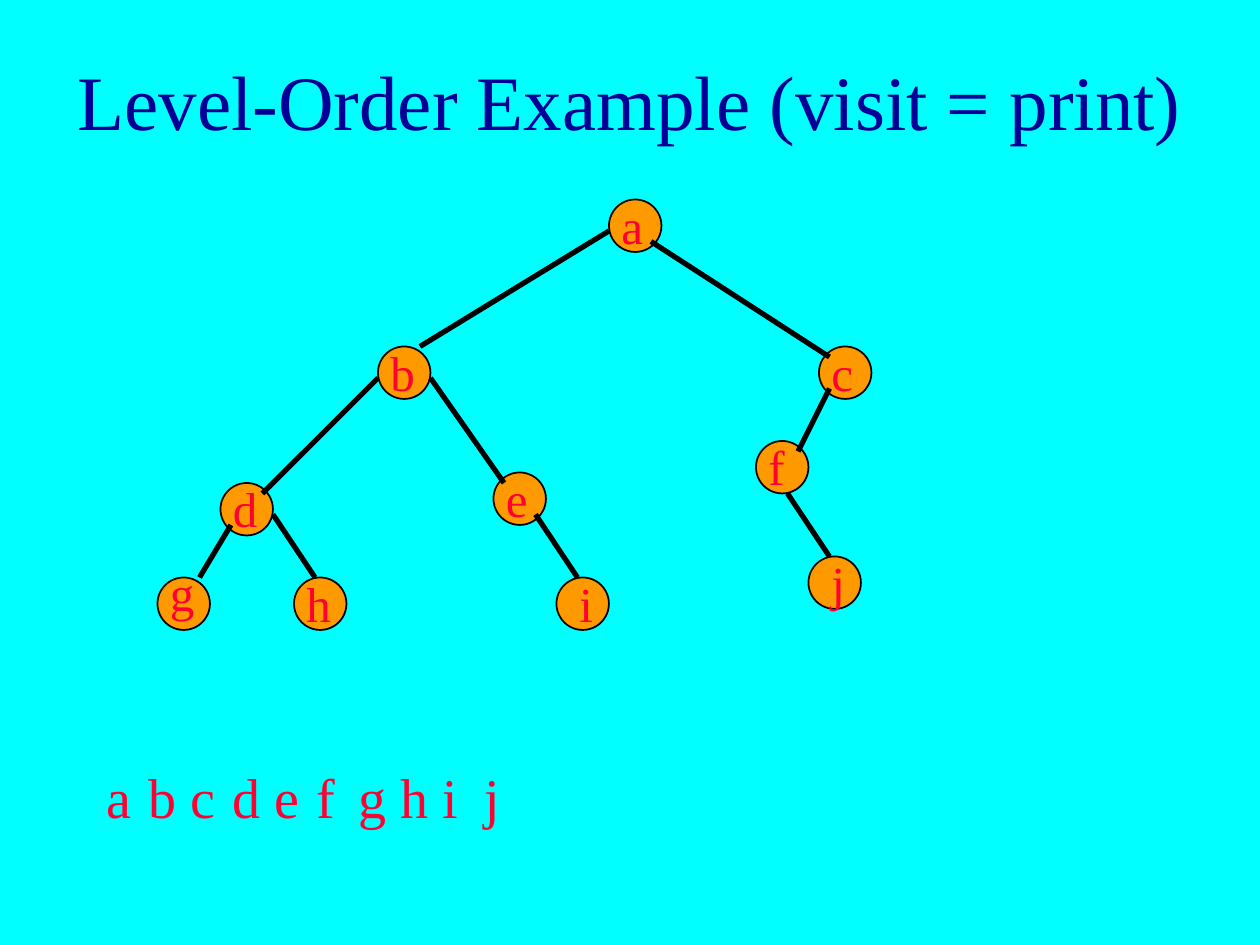
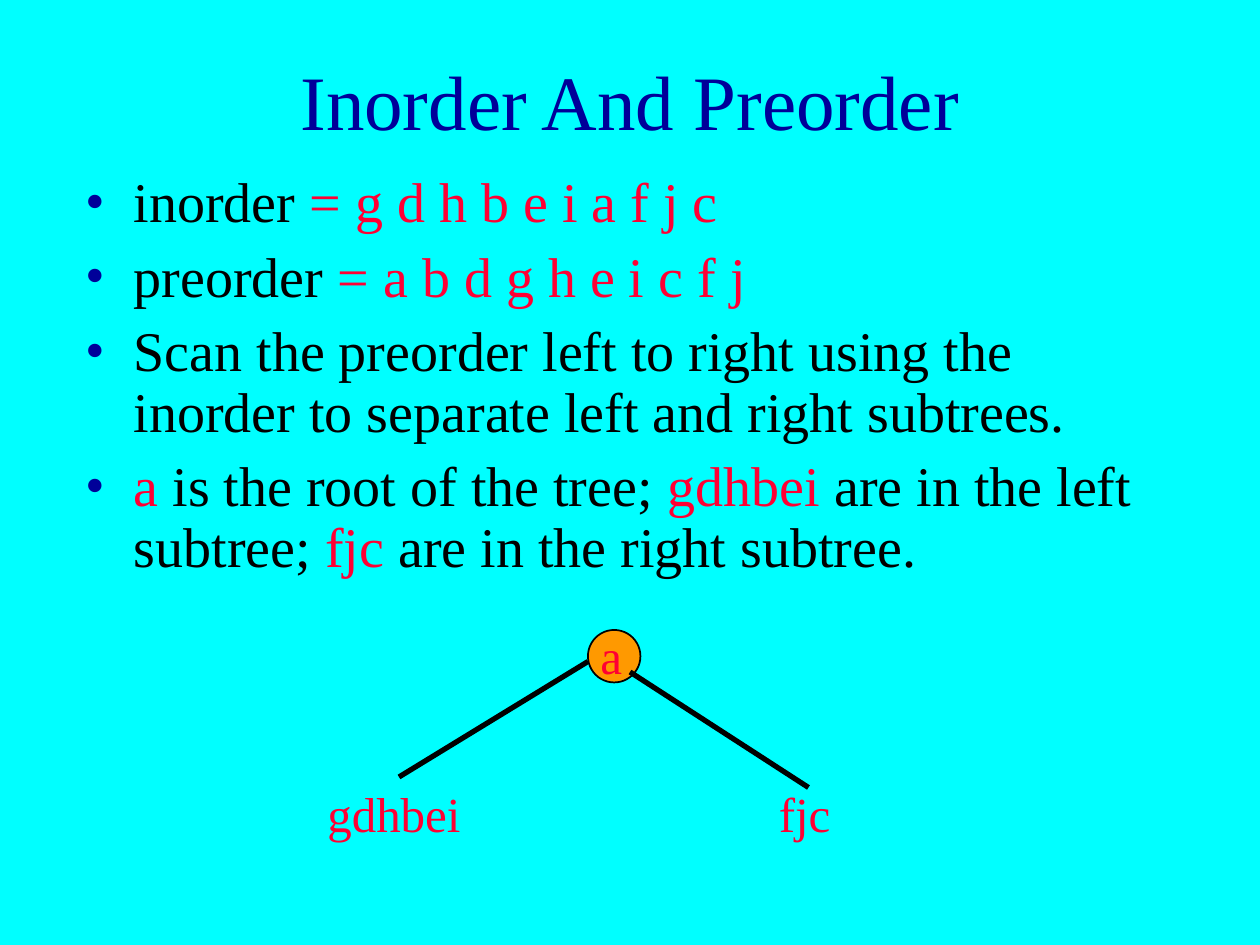
from lxml.etree import SubElement
from pptx import Presentation
from pptx.dml.color import RGBColor
from pptx.enum.shapes import MSO_CONNECTOR, MSO_SHAPE
from pptx.enum.text import MSO_ANCHOR, MSO_AUTO_SIZE, PP_ALIGN
from pptx.oxml.ns import qn
from pptx.util import Inches, Pt

COLORS = {
    "background": "00FFFF",
    "title": "000099",
    "body": "000000",
    "accent": "FF0033",
    "node": "FF9900",
    "line": "000000",
}
FONT = "Times New Roman"
COLUMNS, ROWS = 120, 90
SLIDE_WIDTH, SLIDE_HEIGHT = Inches(10), Inches(7.5)
NODE_SIZE = 5
LABEL_HEIGHT = 6.84

# letter: node corner, then label corner relative to the node
LEVEL_ORDER_NODES = {
    "a": ((43, 0), (0, -1)),
    "b": ((21, 14), (0, -1)),
    "c": ((63, 14), (0, -1)),
    "d": ((6, 27), (0, -1)),
    "e": ((32, 26), (0, -1)),
    "f": ((57, 23), (0, -1)),
    "g": ((0, 36), (0, -2)),
    "h": ((13, 36), (0, -1)),
    "i": ((38, 36), (1, -1)),
    "j": ((62, 34), (1, -1)),
}
# parent, attachment on parent, child, attachment on child
LEVEL_ORDER_EDGES = [
    ("a", (0, 3), "b", (4, 0)),
    ("a", (4, 4), "c", (1, 1)),
    ("b", (0, 3), "d", (4, 1)),
    ("b", (5, 3), "e", (1, 1)),
    ("c", (1, 4), "f", (4, 1)),
    ("d", (1, 4), "g", (4, 0)),
    ("d", (5, 3), "h", (2, 0)),
    ("e", (4, 4), "i", (2, 0)),
    ("f", (3, 5), "j", (2, 0)),
]
SPLIT_ROOT = {"a": ((26, 0), (0, -1))}
SUBTREES = {"gdhbei": (0, 14), "fjc": (43, 14)}
SPLIT_EDGES = [
    ("a", (0, 3), "gdhbei", (8, 0)),
    ("a", (4, 4), "fjc", (4, 1)),
]
# each bullet is a list of (text, colour) runs
BULLETS = [
    [("inorder ", "body"), ("= g d h b e i a f j c", "accent")],
    [("preorder", "body"), (" = a b d g h e i c f j", "accent")],
    [("Scan the preorder left to right using the inorder "
      "to separate left and right subtrees.", "body")],
    [("a", "accent"), (" is the root of the tree; ", "body"),
     ("gdhbei", "accent"), (" are in the left subtree; ", "body"),
     ("fjc", "accent"), (" are in the right subtree.", "body")],
]


def rgb(role):
    return RGBColor.from_string(COLORS[role])


def across(columns):
    return round(SLIDE_WIDTH * columns / COLUMNS)


def down(rows):
    return round(SLIDE_HEIGHT * rows / ROWS)


def shift(corner, offset):
    return corner[0] + offset[0], corner[1] + offset[1]


def style_run(run, size, role):
    run.font.name = FONT
    run.font.size = Pt(size)
    run.font.color.rgb = rgb(role)


def add_text_frame(slide, box):
    left, top, width, height = box
    frame = slide.shapes.add_textbox(
        across(left), down(top), across(width), down(height)).text_frame
    frame.word_wrap = True
    return frame


def add_letters(slide, box, text, size=28, space_before=17.5):
    frame = add_text_frame(slide, box)
    frame.auto_size = MSO_AUTO_SIZE.SHAPE_TO_FIT_TEXT
    frame.text = text
    paragraph = frame.paragraphs[0]
    paragraph.space_before = Pt(space_before)
    style_run(paragraph.runs[0], size, "accent")


def add_title(slide, box, text):
    frame = add_text_frame(slide, box)
    frame.vertical_anchor = MSO_ANCHOR.MIDDLE
    frame.text = text
    paragraph = frame.paragraphs[0]
    paragraph.alignment = PP_ALIGN.CENTER
    style_run(paragraph.runs[0], 44, "title")


def add_titled_slide(deck, title, title_box):
    slide = deck.slides.add_slide(deck.slide_layouts[6])
    slide.background.fill.solid()
    slide.background.fill.fore_color.rgb = rgb("background")
    add_title(slide, title_box, title)
    return slide


def add_node(slide, corner):
    node = slide.shapes.add_shape(
        MSO_SHAPE.OVAL, across(corner[0]), down(corner[1]),
        across(NODE_SIZE), down(NODE_SIZE))
    node.shadow.inherit = False
    node.fill.solid()
    node.fill.fore_color.rgb = rgb("node")
    node.line.color.rgb = rgb("line")
    node.line.width = Pt(1)


def add_edge(slide, start, end):
    edge = slide.shapes.add_connector(
        MSO_CONNECTOR.STRAIGHT, across(start[0]), down(start[1]),
        across(end[0]), down(end[1]))
    edge.line.color.rgb = rgb("line")
    edge.line.width = Pt(3)
    SubElement(edge._element.spPr, qn("a:effectLst"))


def add_tree(slide, origin, nodes, edges, subtrees=None):
    """Draw circled nodes, uncircled subtrees and their edges from origin."""
    subtrees = subtrees or {}
    corners = {letter: shift(origin, corner)
               for letter, (corner, _) in nodes.items()}
    for corner in corners.values():
        add_node(slide, corner)
    corners.update((name, shift(origin, corner))
                   for name, corner in subtrees.items())
    for parent, leave, child, arrive in edges:
        add_edge(slide, shift(corners[parent], leave),
                 shift(corners[child], arrive))
    for letter, (_, offset) in nodes.items():
        add_letters(slide, (*shift(corners[letter], offset), 10, LABEL_HEIGHT),
                    letter)
    for name in subtrees:
        add_letters(slide, (*corners[name], 17, LABEL_HEIGHT), name)


def add_visit_sequence(slide, origin, letters, pitch=4):
    for index, letter in enumerate(letters):
        add_letters(slide, (*shift(origin, (index * pitch, 0)), 5, 7.7),
                    letter, size=32, space_before=20)


def add_bullet_mark(paragraph):
    properties = paragraph._p.get_or_add_pPr()
    indent = Inches(0.38)
    properties.set("marL", str(indent))
    properties.set("indent", str(-indent))
    mark_color = SubElement(properties, qn("a:buClr"))
    SubElement(mark_color, qn("a:srgbClr"), val=COLORS["title"])
    SubElement(properties, qn("a:buFont"), typeface=FONT)
    SubElement(properties, qn("a:buChar"), char="•")


def add_bullets(slide, box, bullets):
    frame = add_text_frame(slide, box)
    for index, bullet in enumerate(bullets):
        paragraph = frame.add_paragraph() if index else frame.paragraphs[0]
        paragraph.line_spacing = 0.9
        paragraph.space_before = Pt(8)
        add_bullet_mark(paragraph)
        for text, role in bullet:
            run = paragraph.add_run()
            run.text = text
            style_run(run, 32, role)


def build_level_order_slide(deck):
    slide = add_titled_slide(deck, "Level-Order Example (visit = print)",
                             (4, 2, 112, 15))
    add_tree(slide, (15, 19), LEVEL_ORDER_NODES, LEVEL_ORDER_EDGES)
    add_visit_sequence(slide, (9, 72), LEVEL_ORDER_NODES)


def build_inorder_preorder_slide(deck):
    slide = add_titled_slide(deck, "Inorder And Preorder", (9, 2, 102, 15))
    add_bullets(slide, (7, 16, 102, 40), BULLETS)
    add_tree(slide, (30, 60), SPLIT_ROOT, SPLIT_EDGES, SUBTREES)


def main():
    deck = Presentation()
    deck.slide_width, deck.slide_height = SLIDE_WIDTH, SLIDE_HEIGHT
    build_level_order_slide(deck)
    build_inorder_preorder_slide(deck)
    deck.save("out.pptx")


if __name__ == "__main__":
    main()
